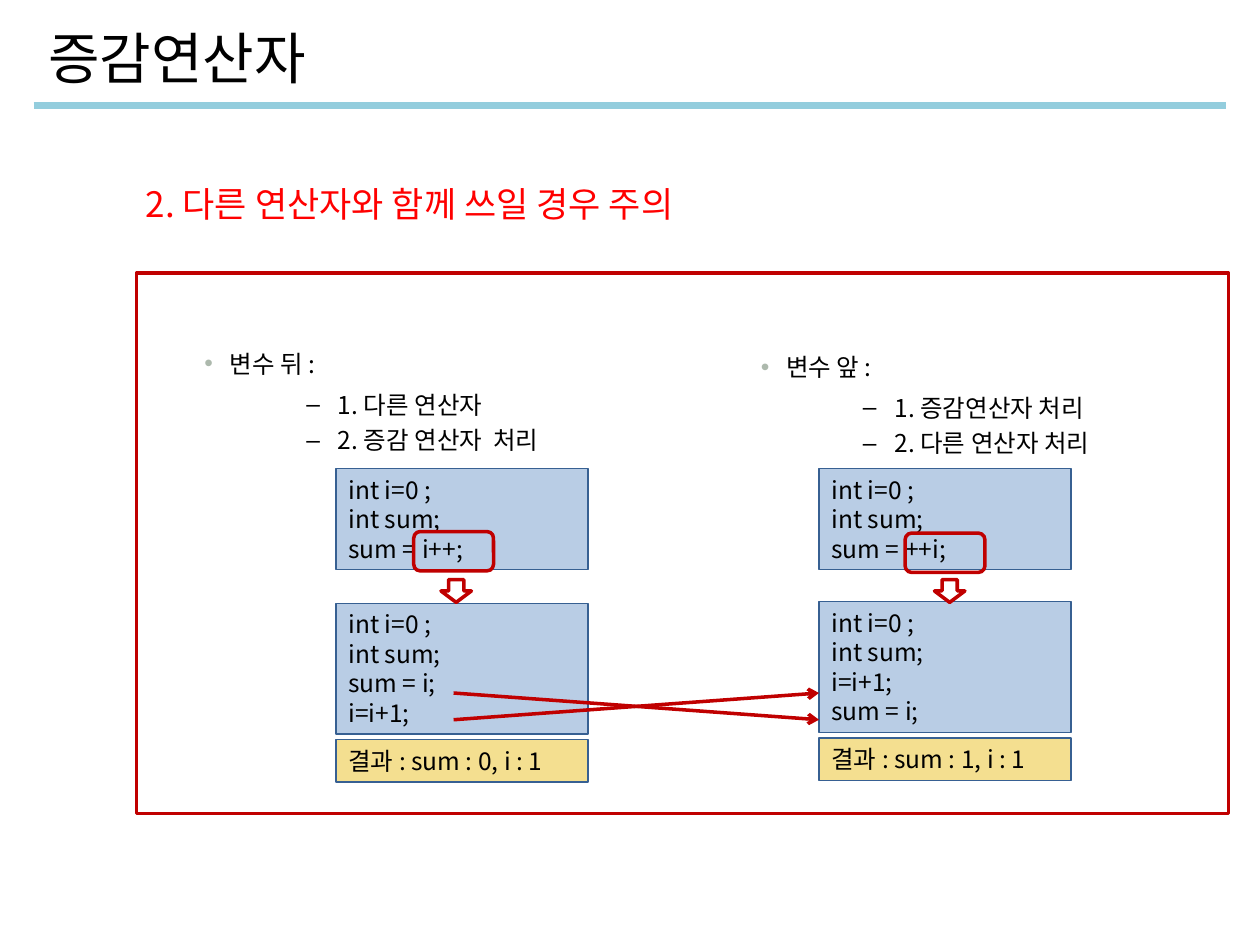
import pptx
import pptx.util
import pptx.dml.color
import pptx.enum.shapes
import pptx.enum.text
import pptx.oxml.ns
from dataclasses import dataclass
from lxml import etree

SHAPE = pptx.enum.shapes.MSO_SHAPE
ANCHOR = pptx.enum.text.MSO_ANCHOR
Pt = pptx.util.Pt


@dataclass(frozen=True)
class Theme:
    font: str = "Noto Sans CJK KR"
    text: str = "000000"
    alert: str = "FF0000"
    accent: str = "C00000"
    rule: str = "93CDDD"
    code: str = "B9CDE5"
    result: str = "F4DF90"
    border: str = "376092"
    dot: str = "ADB9AD"
    title_size: int = 32
    heading_size: int = 20
    body_size: int = 14
    thin: float = 0.75
    thick: float = 2
    rule_width: float = 3.5


def rgb(value):
    return pptx.dml.color.RGBColor.from_string(value)


def add_xml(parent, tag, **attributes):
    return etree.SubElement(parent, pptx.oxml.ns.qn(tag), attributes)


class Board:
    """Places elements on a grid of 12 columns and 12 rows."""

    def __init__(self, deck, theme):
        self.theme = theme
        self.slide = deck.slides.add_slide(deck.slide_layouts[6])
        self.column = deck.slide_width / 12
        self.row = deck.slide_height / 12

    def place(self, *cells):
        units = (self.column, self.row) * 2
        return [round(cell * unit) for cell, unit in zip(cells, units)]

    def add_words(self, paragraph, words, size, color):
        run = paragraph.add_run()
        run.text = words
        for key, value in {"name": self.theme.font, "size": Pt(size)}.items():
            setattr(run.font, key, value)
        run.font.color.rgb = rgb(color)
        add_xml(run.font._element, "a:ea", typeface=self.theme.font)

    def text(self, cells, words, size, color, anchor=ANCHOR.TOP):
        frame = self.slide.shapes.add_textbox(*self.place(*cells)).text_frame
        for key, value in {"word_wrap": True, "vertical_anchor": anchor}.items():
            setattr(frame, key, value)
        self.add_words(frame.paragraphs[0], words, size, color)

    def bullets(self, cells, topic, steps):
        frame = self.slide.shapes.add_textbox(*self.place(*cells)).text_frame
        frame.word_wrap = True
        theme = self.theme
        top = ("•", theme.dot, 0.89, -0.2)
        sub = ("–", theme.text, 1.75, -0.25)
        for index, words in enumerate([topic, *steps]):
            mark, color, margin, indent = sub if index else top
            paragraph = frame.add_paragraph() if index else frame.paragraphs[0]
            properties = paragraph._p.get_or_add_pPr()
            for key, inches in {"marL": margin, "indent": indent}.items():
                properties.set(key, str(pptx.util.Inches(inches)))
            add_xml(add_xml(properties, "a:buClr"), "a:srgbClr", val=color)
            add_xml(properties, "a:buFont", typeface="Arial")
            add_xml(properties, "a:buChar", char=mark)
            spacing = {"space_before": Pt(3.5)} if index else {"space_after": Pt(3)}
            for key, value in spacing.items():
                setattr(paragraph, key, value)
            self.add_words(paragraph, words, theme.body_size, theme.text)

    def outline(self, cells, kind=SHAPE.RECTANGLE):
        return self.shape(cells, kind, None, self.theme.accent, self.theme.thick)

    def shape(self, cells, kind, fill, line, width):
        shape = self.slide.shapes.add_shape(kind, *self.place(*cells))
        shape.shadow.inherit = False
        if fill:
            shape.fill.solid()
            shape.fill.fore_color.rgb = rgb(fill)
        else:
            shape.fill.background()
        shape.line.color.rgb = rgb(line)
        shape.line.width = Pt(width)
        return shape

    def code_box(self, cells, lines, fill):
        theme = self.theme
        box = self.shape(cells, SHAPE.RECTANGLE, fill, theme.border, theme.thin)
        frame = box.text_frame
        for key, value in {"word_wrap": True, "vertical_anchor": ANCHOR.TOP}.items():
            setattr(frame, key, value)
        for index, words in enumerate(lines):
            paragraph = frame.add_paragraph() if index else frame.paragraphs[0]
            paragraph.alignment = pptx.enum.text.PP_ALIGN.LEFT
            self.add_words(paragraph, words, theme.body_size, theme.text)

    def line(self, cells, color, width, arrow=False):
        straight = pptx.enum.shapes.MSO_CONNECTOR.STRAIGHT
        line = self.slide.shapes.add_connector(straight, *self.place(*cells))
        line.line.color.rgb = rgb(color)
        line.line.width = Pt(width)
        if arrow:
            add_xml(line.line._get_or_add_ln(), "a:tailEnd", type="arrow")
        add_xml(line._element.spPr, "a:effectLst")


def main():
    deck = pptx.Presentation()
    deck.slide_width = pptx.util.Inches(10)
    deck.slide_height = pptx.util.Inches(7.5)
    theme = Theme()
    board = Board(deck, theme)

    # Title and heading
    board.line((0.32, 1.34, 11.68, 1.34), theme.rule, theme.rule_width)
    board.text((0.34, 0.13, 10.7, 1.18), "증감연산자", theme.title_size,
               theme.text, ANCHOR.MIDDLE)
    board.text((1.27, 2.24, 10.2, 0.7), "2. 다른 연산자와 함께 쓰일 경우 주의",
               theme.heading_size, theme.alert)

    # Postfix on the left, prefix on the right
    declarations = ["int i=0 ;", "int sum;"]
    assign, increment = "sum = i;", "i=i+1;"
    sides = [
        dict(notes=(1, 4.35), boxes=3.2, ring=(3.94, 6.75), arrow=4.2,
             expanded=7.66, outcome=9.39, topic="변수 뒤 :",
             steps=["1. 다른 연산자", "2. 증감 연산자  처리"],
             expression="sum = i++;", order=[assign, increment],
             answer="결과 : sum : 0, i : 1"),
        dict(notes=(6.3, 4.39), boxes=7.8, ring=(8.62, 6.77), arrow=8.9,
             expanded=7.64, outcome=9.37, topic="변수 앞 :",
             steps=["1. 증감연산자 처리", "2. 다른 연산자 처리"],
             expression="sum = ++i;", order=[increment, assign],
             answer="결과 : sum : 1, i : 1"),
    ]
    for side in sides:
        left = side["boxes"]
        board.bullets((*side["notes"], 5.6, 1.5), side["topic"], side["steps"])
        board.code_box((left, 5.95, 2.4, 1.28),
                       declarations + [side["expression"]], theme.code)
        board.outline((*side["ring"], 0.76, 0.5), SHAPE.ROUNDED_RECTANGLE)
        board.code_box((left, side["expanded"], 2.4, 1.66),
                       declarations + side["order"], theme.code)
        board.outline((side["arrow"], 7.36, 0.29, 0.29), SHAPE.DOWN_ARROW)
        board.code_box((left, side["outcome"], 2.4, 0.54),
                       [side["answer"]], theme.result)

    # Crossing arrows show the swapped order
    upper, lower = 8.8, 9.14
    for start, end in ((lower, upper), (upper, lower)):
        board.line((4.32, start, 7.8, end), theme.accent, theme.thick, arrow=True)

    # Frame around the comparison
    board.outline((1.3, 3.47, 10.4, 6.86))

    deck.save("out.pptx")


if __name__ == "__main__":
    main()
